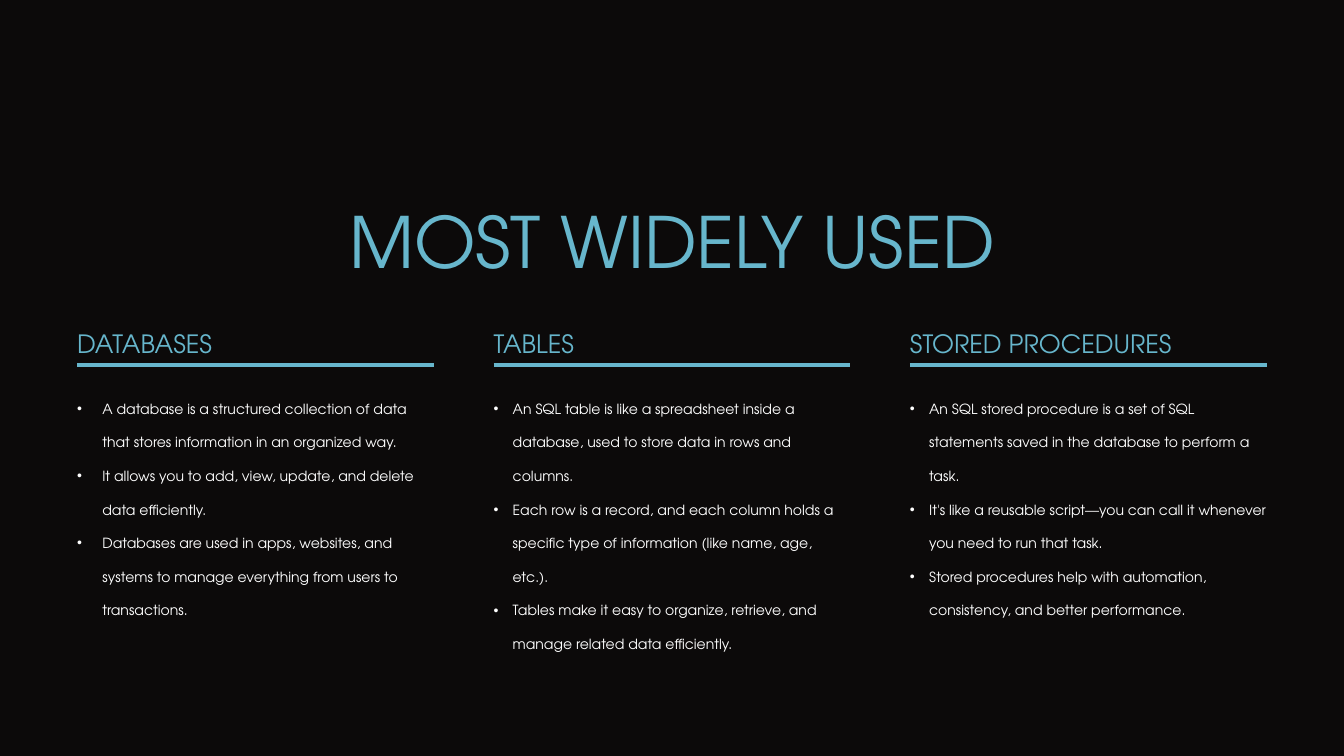
import pptx
import pptx.dml.color
import pptx.enum.shapes
import pptx.enum.text
import pptx.oxml
import pptx.util
from lxml import etree

Inches = pptx.util.Inches
Pt = pptx.util.Pt
RGBColor = pptx.dml.color.RGBColor

BACKGROUND = RGBColor(0x0C, 0x0A, 0x0A)
ACCENT = RGBColor(0x67, 0xB6, 0xCC)
WHITE = RGBColor(0xFF, 0xFF, 0xFF)
FONT = "TeX Gyre Adventor"

SLIDE_WIDTH, SLIDE_HEIGHT = 26.66, 15
COLUMN_LEFT, COLUMN_WIDTH, COLUMN_GAP = 1.53, 7.08, 1.18
TITLE_TOP, HEADING_TOP, RULE_TOP, BODY_TOP = 3.92, 6.39, 7.24, 7.61

# Heading, bullet indent in inches, bullet points
COLUMNS = [
    ("DATABASES", 0.5, [
        "A database is a structured collection of data that stores information in an organized way.",
        "It allows you to add, view, update, and delete data efficiently.",
        "Databases are used in apps, websites, and systems to manage everything from users to transactions.",
    ]),
    ("TABLES", 0.38, [
        "An SQL table is like a spreadsheet inside a database, used to store data in rows and columns.",
        "Each row is a record, and each column holds a specific type of information (like name, age, etc.).",
        "Tables make it easy to organize, retrieve, and manage related data efficiently.",
    ]),
    ("STORED PROCEDURES", 0.38, [
        "An SQL stored procedure is a set of SQL statements saved in the database to perform a task.",
        "It's like a reusable script—you can call it whenever you need to run that task.",
        "Stored procedures help with automation, consistency, and better performance.",
    ]),
]


def add_text(slide, left, top, width, height, lines, size, spacing, color):
    """Add a text box without margins, one paragraph per line; return its paragraphs."""
    shape = slide.shapes.add_textbox(Inches(left), Inches(top), Inches(width), Inches(height))
    text_frame = shape.text_frame
    text_frame.word_wrap = True
    text_frame.margin_left = text_frame.margin_right = 0
    text_frame.margin_top = text_frame.margin_bottom = 0
    text_frame.text = "\n".join(lines)
    for paragraph in text_frame.paragraphs:
        paragraph.line_spacing = Pt(spacing)
        font = paragraph.runs[0].font
        font.name = FONT
        font.size = Pt(size)
        font.color.rgb = color
    return text_frame.paragraphs


def add_bullet(paragraph, indent):
    """Give the paragraph a bullet with a hanging indent in inches."""
    properties = paragraph._p.get_or_add_pPr()
    properties.set("marL", str(Inches(indent)))
    properties.set("indent", str(-Inches(indent)))
    bullet_font = etree.SubElement(properties, pptx.oxml.ns.qn("a:buFont"))
    bullet_font.set("typeface", "Arial")
    bullet = etree.SubElement(properties, pptx.oxml.ns.qn("a:buChar"))
    bullet.set("char", "•")


def add_rule(slide, left):
    """Add the line between a column's heading and its bullets."""
    connector = slide.shapes.add_connector(
        pptx.enum.shapes.MSO_CONNECTOR.STRAIGHT,
        Inches(left), Inches(RULE_TOP), Inches(left + COLUMN_WIDTH), Inches(RULE_TOP))
    connector.line.color.rgb = ACCENT
    connector.line.width = Pt(5.75)
    etree.SubElement(connector._element.spPr, pptx.oxml.ns.qn("a:effectLst"))


def add_title(slide, title):
    width = SLIDE_WIDTH - 2 * COLUMN_LEFT
    paragraph, = add_text(slide, COLUMN_LEFT, TITLE_TOP, width, 1.7, [title], 101, 121, ACCENT)
    paragraph.alignment = pptx.enum.text.PP_ALIGN.CENTER


def add_column(slide, left, heading, indent, points):
    add_text(slide, left, HEADING_TOP, COLUMN_WIDTH, 0.7, [heading], 36, 52, ACCENT)
    add_rule(slide, left)
    for paragraph in add_text(slide, left, BODY_TOP, COLUMN_WIDTH, 3.95, points, 20, 48, WHITE):
        add_bullet(paragraph, indent)


def main():
    presentation = pptx.Presentation()
    presentation.slide_width = Inches(SLIDE_WIDTH)
    presentation.slide_height = Inches(SLIDE_HEIGHT)
    slide = presentation.slides.add_slide(presentation.slide_layouts[6])
    slide.background.fill.solid()
    slide.background.fill.fore_color.rgb = BACKGROUND

    add_title(slide, "MOST WIDELY USED")
    for index, (heading, indent, points) in enumerate(COLUMNS):
        left = COLUMN_LEFT + index * (COLUMN_WIDTH + COLUMN_GAP)
        add_column(slide, left, heading, indent, points)

    presentation.save("out.pptx")


if __name__ == "__main__":
    main()
